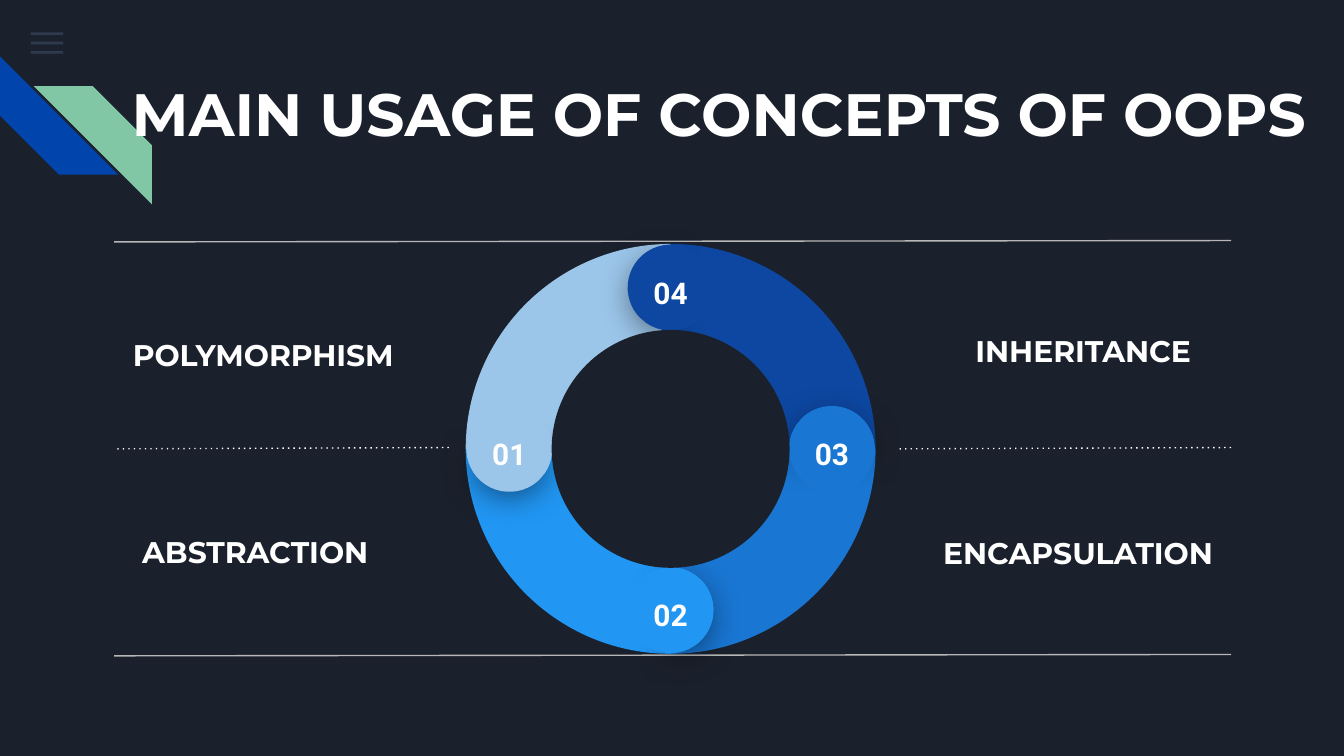
from math import cos, radians, sin

from lxml import etree
from pptx import Presentation
from pptx.dml.color import RGBColor
from pptx.enum.shapes import MSO_CONNECTOR, MSO_SHAPE
from pptx.enum.text import MSO_ANCHOR, PP_ALIGN
from pptx.oxml.ns import qn
from pptx.util import Inches, Pt

RECT, STRIPE = MSO_SHAPE.RECTANGLE, MSO_SHAPE.DIAGONAL_STRIPE
PIE, CHORD, OVAL = MSO_SHAPE.PIE, MSO_SHAPE.CHORD, MSO_SHAPE.OVAL
STRAIGHT = MSO_CONNECTOR.STRAIGHT
TOP, MIDDLE = MSO_ANCHOR.TOP, MSO_ANCHOR.MIDDLE
LEFT, CENTER = PP_ALIGN.LEFT, PP_ALIGN.CENTER

NAVY, WHITE, RULE_GREY = "1B212C", "FFFFFF", "B7B7B7"
DEGREE = 0.6
STAGES = [("01", 180, "9BC5E9"), ("02", 90, "2196F3"),
          ("03", 0, "1976D2"), ("04", 270, "0D47A1")]
CONCEPTS = [("POLYMORPHISM", (0, 0.55, 2.47, 0.57)),
            ("ABSTRACTION", (0.07, 2.06, 2.03, 0.49)),
            ("INHERITANCE", (6.27, 0.56, 2.03, 0.49)),
            ("ENCAPSULATION", (6.03, 2.07, 2.27, 0.49))]


def color(hex_code):
    """Turn a hex string into a colour."""
    return RGBColor.from_string(hex_code)


def add_child(parent, tag, **attributes):
    """Append a DrawingML element with the given attributes."""
    child = etree.SubElement(parent, qn(tag))
    for name, value in attributes.items():
        child.set(name, str(value))
    return child


def add_figure(slide, kind, box, fill, rotation=0, angles=()):
    """Add a flat preset shape; angles are in degrees."""
    figure = slide.shapes.add_shape(kind, *map(Inches, box))
    figure.shadow.inherit = False
    figure.fill.solid()
    figure.fill.fore_color.rgb = color(fill)
    figure.line.fill.background()
    figure.rotation = rotation
    for index, angle in enumerate(angles):
        figure.adjustments[index] = angle * DEGREE
    return figure


def centered(x, y, size):
    """Give the square box of a size around a point."""
    return x - size / 2, y - size / 2, size, size


def write(holder, wording, size, typeface="Montserrat", align=LEFT, anchor=MIDDLE):
    """Put one bold white paragraph into a text shape."""
    frame = holder.text_frame
    layout = {"word_wrap": True, "vertical_anchor": anchor}
    layout.update({f"margin_{side}": Inches(0.1) for side in ("left", "top", "right", "bottom")})
    for name, value in layout.items():
        setattr(frame, name, value)
    paragraph = frame.paragraphs[0]
    paragraph.alignment = align
    run = paragraph.add_run()
    run.text = wording
    for name, value in {"size": Pt(size), "name": typeface, "bold": True}.items():
        setattr(run.font, name, value)
    run.font.color.rgb = color(WHITE)


def add_rule(slide, start, end, hue, dotted=False):
    """Draw a thin rule between two points."""
    rule = slide.shapes.add_connector(STRAIGHT, *map(Inches, start + end))
    rule.line.width = Pt(0.75)
    rule.line.color.rgb = color(hue)
    if dotted:
        add_child(rule._element.spPr.find(qn("a:ln")), "a:prstDash", val="dot")
    add_child(rule._element.spPr, "a:effectLst")


def add_menu(slide, left, top, width):
    """Draw the three translucent menu bars."""
    for row in range(3):
        bar = add_figure(slide, RECT, (left, top + 0.07 * row, width, 0.02), "55688B")
        hue = bar._element.spPr.find(qn("a:solidFill"))[0]
        add_child(hue, "a:alpha", val=36000)


def add_stripes(slide, left, top, size):
    """Draw the blue and green corner stripes."""
    add_figure(slide, STRIPE, (left, top, size, size), "0145AC", 270)
    green = add_figure(slide, STRIPE, (left + 0.25, top + 0.22, size, size), "82C7A5")
    green._element.spPr.xfrm.set("flipH", "1")


def add_title(slide, left, top, width, height):
    """Place the title in front of the stripes."""
    title = slide.shapes.title
    title._element.getparent().append(title._element)
    bounds = {"left": left, "top": top, "width": width, "height": height}
    for name, value in bounds.items():
        setattr(title, name, Inches(value))
    write(title, "MAIN USAGE OF CONCEPTS OF OOPS", 32, anchor=TOP)


def add_concepts(slide, left, top):
    """Place the four concept names."""
    for wording, (x, y, width, height) in CONCEPTS:
        label = slide.shapes.add_textbox(*map(Inches, (left + x, top + y, width, height)))
        write(label, wording, 16)


def add_rules(slide, left, top, right, gap):
    """Draw the outer rules and the dotted ones beside the ring."""
    for row in (0, 2):
        y = top + row * gap
        add_rule(slide, (right, y), (left, y + 0.01), RULE_GREY)
    middle, length = top + gap, 2.49
    for end in (left + length, right):
        add_rule(slide, (end, middle), (end - length, middle + 0.01), WHITE, True)


def add_cap(slide, x, y, number, direction, fill):
    """Draw the rounded, shadowed end of a ring segment and its number."""
    turn = direction - 180
    shaded = add_figure(slide, PIE, centered(x, y, 0.57), fill, turn + 39.5, (315.9, 139.7))
    effects = shaded._element.spPr.find(qn("a:effectLst"))
    shadow = add_child(effects, "a:outerShdw", blurRad=Pt(18), dist=Pt(4),
                       dir=5400000, algn="bl", rotWithShape=0)
    add_child(add_child(shadow, "a:srgbClr", val="000000"), "a:alpha", val=55000)
    add_figure(slide, CHORD, centered(x, y, 0.64), fill, turn + 4.1, (41.7, 30.2))
    box = (x - 0.28, y - 0.2, 0.56, 0.29)
    write(slide.shapes.add_textbox(*map(Inches, box)), number, 16, "Roboto", CENTER, TOP)


def add_ring(slide, x, y):
    """Draw the four-part ring around a centre point."""
    for _, direction, fill in STAGES[:1] + STAGES[:0:-1]:
        add_figure(slide, PIE, centered(x, y, 3.05), fill, direction - 180, (179.93, 270.02))
    for number, direction, fill in STAGES:
        angle = radians(direction)
        add_cap(slide, x + 1.2 * cos(angle), y + 1.2 * sin(angle), number, direction, fill)
    add_figure(slide, OVAL, centered(x, y, 1.77), NAVY)


def main():
    """Build and save the slide."""
    deck = Presentation()
    deck.slide_width, deck.slide_height = Inches(10), Inches(10) * 9 // 16
    slide = deck.slides.add_slide(deck.slide_layouts[5])
    slide.background.fill.solid()
    slide.background.fill.fore_color.rgb = color(NAVY)
    add_menu(slide, 0.23, 0.24, 0.24)
    add_stripes(slide, 0, 0.42, 0.88)
    add_title(slide, 0.88, 0.47, 8.98, 1)
    add_concepts(slide, 0.89, 1.8)
    add_rules(slide, 0.85, 1.79, 9.16, 1.54)
    add_ring(slide, 4.99, 3.34)
    deck.save("out.pptx")


if __name__ == "__main__":
    main()
